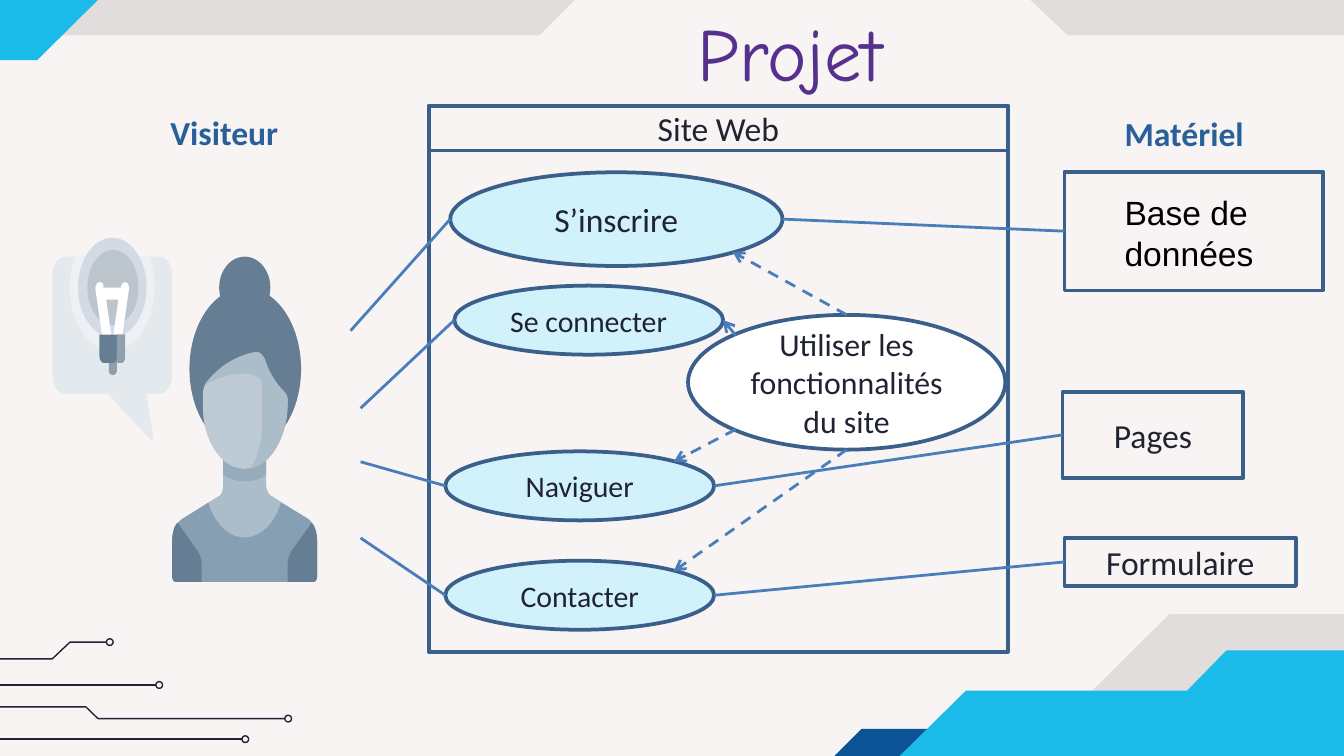
from lxml import etree
from pptx import Presentation
from pptx import util as u
from pptx.dml.color import RGBColor
from pptx.enum import dml, shapes as sh, text as tx
from pptx.oxml.ns import qn

COLORS = {
    "paper": "F8F4F4", "black": "000000", "white": "FFFFFF", "ink": "202331",
    "cyan": "1BBBE9", "navy": "0B5394", "border": "3A5F8B", "link": "4A7EBB",
    "case": "D1F1FB", "heading": "2A6099", "purple": "55308D",
    "hair": "657E93", "skin": "ACBDCA", "shirt": "869FB2", "neck": "96ABBC",
    "face": "BECBD5", "bubble": "E3E9ED", "halo": "EDF1F3", "tip": "909FAD",
    "glass": "D2DBE3", "glow": "BCC4CC",
}
GREY_OPACITY = 9
TITLE = "Projet"

# Decoration: fill, opacity, corners
BANDS = [
    ("black", GREY_OPACITY, [(626.4, 329), (720, 329), (720, 405), (550, 405)]),
    ("black", GREY_OPACITY, [(0, 0), (308, 0), (289, 19), (0, 19)]),
    ("black", GREY_OPACITY, [(552, 0), (720, 0), (720, 19), (572, 19)]),
    ("navy", 100, [(447, 405), (461.5, 390.5), (526, 390.5), (512, 405)]),
    ("cyan", 100, [(482, 405), (517.5, 370), (636, 370), (657, 348.5),
                   (720, 348.5), (720, 405)]),
    ("cyan", 100, [(0, 0), (52.5, 0), (20, 32.2), (0, 32.2)]),
]
CIRCUITS = [
    [(0, 367), (83.5, 367)],
    [(0, 353), (28, 353), (37.5, 344), (57, 344)],
    [(0, 378.7), (46, 378.7), (52.5, 385), (152.6, 385)],
    [(0, 396), (129.6, 396)],
]
NODE = 3.6

# Diagram: kind, left, top, width, height, fill, label, size
RECT, OVAL = sh.MSO_SHAPE.RECTANGLE, sh.MSO_SHAPE.OVAL
NODES = {
    "frame": (RECT, 229.7, 56.9, 310.3, 292.3, "paper", "", 0),
    "site": (RECT, 229.7, 56.9, 310.3, 23.8, "paper", "Site Web", 18),
    "use": (OVAL, 368.6, 168.7, 170, 72.2, "white",
            "Utiliser les fonctionnalités du site", 17),
    "database": (RECT, 570.3, 92, 138.4, 63.7, None, "", 0),
    "pages": (RECT, 569.2, 210, 96.8, 46, None, "Pages", 18),
    "form": (RECT, 570.3, 288.2, 124, 25.7, None, "Formulaire", 18),
    "register": (OVAL, 241.2, 92.3, 178, 50.2, "case", "S’inscrire", 18),
    "login": (OVAL, 243.4, 153, 144, 37, "case", "Se connecter", 16),
    "browse": (OVAL, 238.6, 241.8, 144, 37, "case", "Naviguer", 16),
    "contact": (OVAL, 238.6, 300.4, 144, 37, "case", "Contacter", 16),
}
NEAR, FAR = 0.15, 0.85  # diagonal points of an ellipse, as shares of its box
SITES = {"left": (0, .5), "right": (1, .5), "top": (.5, 0), "bottom": (.5, 1),
         "top left": (NEAR, NEAR), "top right": (FAR, NEAR),
         "bottom left": (NEAR, FAR), "bottom right": (FAR, FAR)}
VISITOR_LINKS = [((187.8, 177.2), "register"), ((193.2, 218.7), "login"),
                 ((193.2, 247.4), "browse"), ((193.2, 288.2), "contact")]
MATERIAL_LINKS = [("database", "register"), ("pages", "browse"), ("form", "contact")]
USE_LINKS = [("top", "register", "bottom right"), ("top left", "login", "right"),
             ("bottom left", "browse", "top right"), ("bottom", "contact", "top right")]

# Free labels: text, box, size, font, colour, bold, wrap
LABELS = [
    ("Visiteur", (84.2, 56.2, 72, 29), 18, "Calibri", "heading", True, False),
    ("Matériel", (595.4, 56.9, 85, 29), 18, "Calibri", "heading", True, True),
    ("Base de données", (595.4, 99.4, 141.8, 47.5), 18, "Arial", "black", False, True),
]

# Visitor outlines: pairs are corners, sextets are Bezier curves
SHOULDERS = [(167.8, 280, 169.9, 285.1, 169.9, 290.2), (169.9, 308.2),
             (169.9, 310.3, 169.2, 311.8, 167.8, 311.8), (94.6, 311.8),
             (93.1, 311.8, 92.2, 310.3, 92.2, 308.2), (92.2, 290.2),
             (92.2, 285.1, 94.3, 280, 97.9, 277.9)]
SLEEVE = [(167, 280), (169.2, 282.2, 169.9, 286.6, 169.9, 290.2), (169.9, 308.2),
          (169.9, 310.3, 169.2, 311.8, 167.8, 311.8), (154.1, 311.8), (154.1, 302.4),
          (154.1, 300.2, 154.8, 297.4, 156.2, 295.2)]
OTHER_SLEEVE = [tuple(262.1 - v if i % 2 == 0 else v for i, v in enumerate(step))
                for step in SLEEVE]
CHEEK = [(137.5, 188.6), (139, 188.6, 140.4, 190.1, 141.8, 192.2),
         (144, 199.4, 147.6, 205.2, 151.9, 209.5),
         (153.4, 211, 154.1, 212.4, 154.1, 214.6), (154.1, 216.7)]
FRINGE = [(114.5, 200.2, 122.4, 191.5, 136.8, 188.6)]
SOCKET_EDGE = [(67, 179.3), (67, 190.8), (67, 193, 66.2, 194.4, 64.8, 194.4)]
BODY = [
    ("skin", [(142.6, 244.8), (142.6, 259.9), (142.6, 262.1, 144, 265, 145.4, 265.7),
              (164.9, 277.9), *SHOULDERS, (117.4, 265.7),
              (118.8, 265, 119.5, 262.1, 119.5, 259.9), (119.5, 244.8)]),
    ("shirt", [(150.5, 269.3), (164.9, 277.9), *SHOULDERS, (111.6, 269.3),
               (115.2, 281.5, 123.1, 288, 131, 288),
               (139, 288, 146.9, 281.5, 150.5, 269.3)]),
    ("neck", [(142.6, 244.8), (142.6, 254.2), (139, 257, 135.4, 257.8, 131, 257.8),
              (127.4, 257.8, 123.1, 257, 119.5, 254.2), (119.5, 244.8)]),
    ("face", CHEEK + [(154.1, 234.7, 144.7, 249.8, 131, 251.3),
                      (118.8, 251.3, 108.7, 236.2, 108.7, 218.2), (108.7, 211.7),
                      (108.7, 208.8, 109.4, 206.6, 110.9, 204.5)] + FRINGE),
    ("skin", CHEEK + [(154.1, 234, 145.4, 249.1, 133.9, 251.3),
                      (138.2, 244.8, 140.4, 236.9, 140.4, 228.2), (140.4, 206.6),
                      (140.4, 203, 138.2, 200.9, 131.8, 200.2),
                      (123.8, 200.2, 115.9, 202.3, 109.4, 206.6),
                      (110.9, 204.5)] + FRINGE),
    ("hair", SLEEVE), ("hair", OTHER_SLEEVE),
    ("bubble", [(85.7, 137.5), (89.3, 137.5, 92.2, 141.8, 92.2, 147.6), (92.2, 200.9),
                (92.2, 206.6, 89.3, 211, 85.7, 211), (78.5, 211), (82.1, 233.3),
                (82.1, 234.7, 82.1, 235.4, 80.6, 235.4), (57.6, 211), (35.3, 211),
                (31, 211, 28.1, 206.6, 28.1, 200.9), (28.1, 147.6),
                (28.1, 141.8, 31, 137.5, 35.3, 137.5)]),
    ("halo", [(79.9, 137.5), (82.1, 142.6, 82.8, 148.3, 82.8, 154.1),
              (82.8, 172.8, 72.7, 187.2, 60.5, 187.2),
              (58.3, 187.2, 56.2, 187.2, 54, 186.5),
              (39.6, 180.7, 33.1, 156.2, 40.3, 137.5)]),
]
BULB = [
    ("white", [(53.3, 151.2), (54.7, 151.2, 55.4, 151.9, 55.4, 153.4), (55.4, 154.1),
               (64.8, 154.1), (64.8, 153.4), (65.5, 151.9, 66.2, 151.2, 67, 151.2),
               (68.4, 151.2, 69.1, 152.6, 69.1, 154.8), (65.5, 180),
               (64.1, 180.7, 62.6, 180.7, 60.5, 180.7), (63.4, 160.6), (56.9, 160.6),
               (59.8, 180.7), (58.3, 180.7, 56.2, 180.7, 54.7, 180), (51.1, 154.8),
               (51.1, 153.4, 51.8, 151.2, 53.3, 151.2)]),
    ("hair", SOCKET_EDGE + [(55.4, 194.4), (54.7, 194.4, 53.3, 193, 53.3, 190.8),
                            (53.3, 179.3)]),
    ("tip", SOCKET_EDGE + [(60.5, 194.4), (61.9, 194.4, 62.6, 193, 62.6, 190.8),
                           (62.6, 179.3)]),
]
HEAD = [("hair", (117.4, 137.5, 27.4, 33.1)), ("hair", (101.5, 154.1, 59.8, 87.1))]
GLASS = [("glass", (41.8, 127.4, 36.7, 53.3)), ("glow", (46.8, 133.9, 27.4, 40.3))]

prs = Presentation()
prs.slide_width, prs.slide_height = u.Pt(720), u.Pt(405)
slide = prs.slides.add_slide(prs.slide_layouts[5])


def rgb(name):
    return RGBColor.from_string(COLORS[name])


def style(shape, fill=None, line=None, width=0, opacity=100):
    shape.shadow.inherit = False
    if fill:
        shape.fill.solid()
        shape.fill.fore_color.rgb = rgb(fill)
        if opacity < 100:
            color = shape.fill._xPr.find(qn("a:solidFill"))[0]
            etree.SubElement(color, qn("a:alpha")).set("val", str(opacity * 1000))
    else:
        shape.fill.background()
    if line:
        shape.line.color.rgb = rgb(line)
        shape.line.width = u.Pt(width)
    else:
        shape.line.fill.background()


def preset(kind, box, *look):
    shape = slide.shapes.add_shape(kind, *map(u.Pt, box))
    style(shape, *look)
    return shape


def flatten(outline, steps=10):
    points = [outline[0]]
    for step in outline[1:]:
        if len(step) == 2:
            points.append(step)
            continue
        curve = [points[-1], step[:2], step[2:4], step[4:]]
        for t in (i / steps for i in range(1, steps + 1)):
            weights = ((1 - t) ** 3, 3 * t * (1 - t) ** 2, 3 * t * t * (1 - t), t ** 3)
            points.append(tuple(sum(w * p[axis] for w, p in zip(weights, curve))
                                for axis in (0, 1)))
    return points


def outline_shape(outline, *look, close=True):
    points = [(u.Pt(x), u.Pt(y)) for x, y in flatten(outline)]
    builder = slide.shapes.build_freeform(*points[0])
    builder.add_line_segments(points[1:], close=close)
    style(builder.convert_to_shape(), *look)


def write(frame, words, size, font, color, bold=False, align=tx.PP_ALIGN.LEFT):
    paragraph = frame.paragraphs[0]
    paragraph.alignment = align
    run = paragraph.add_run()
    run.text = words
    run.font.size, run.font.name, run.font.bold = u.Pt(size), font, bold
    run.font.color.rgb = rgb(color)


def connect(start, end, color="link", width=1.5, arrow=False):
    link = slide.shapes.add_connector(sh.MSO_CONNECTOR.STRAIGHT, *map(u.Pt, start + end))
    link.line.color.rgb = rgb(color)
    link.line.width = u.Pt(width)
    if arrow:
        link.line.dash_style = dml.MSO_LINE.DASH
        etree.SubElement(link.line._get_or_add_ln(), qn("a:tailEnd")).set("type", "arrow")
    etree.SubElement(link._element.spPr, qn("a:effectLst"))


def site(node, side):
    left, top, width, height = NODES[node][1:5]
    across, down = SITES[side]
    return left + across * width, top + down * height


# Background, corner bands and circuit lines
slide.background.fill.solid()
slide.background.fill.fore_color.rgb = rgb("paper")
for fill, opacity, corners in BANDS:
    outline_shape(corners, fill, None, 0, opacity)
for route in CIRCUITS:
    if len(route) == 2:
        connect(*route, "ink", 0.75)
    else:
        outline_shape(route, None, "ink", 0.75, close=False)
    x, y = route[-1]
    preset(OVAL, (x, y - NODE / 2, NODE, NODE), None, "ink", 0.75)

# Title
title = slide.shapes.title
title.left, title.top, title.width, title.height = map(u.Pt, (366.5, 0, 129.6, 72))
title.text_frame.auto_size = tx.MSO_AUTO_SIZE.NONE
title.text_frame.vertical_anchor = tx.MSO_ANCHOR.TOP
write(title.text_frame, TITLE, 40, "Comic Neue", "purple")

# Use cases and materials
for kind, *box, fill, label, size in NODES.values():
    node = preset(kind, box, fill, "border", 2)
    if label:
        node.text_frame.word_wrap = True
        node.text_frame.vertical_anchor = tx.MSO_ANCHOR.MIDDLE
        write(node.text_frame, label, size, "Calibri", "ink", align=tx.PP_ALIGN.CENTER)

# Links
for start, case in VISITOR_LINKS:
    connect(start, site(case, "left"))
for material, case in MATERIAL_LINKS:
    connect(site(material, "left"), site(case, "right"))
for side, case, target in USE_LINKS:
    connect(site("use", side), site(case, target), arrow=True)

# Labels
for words, box, size, font, color, bold, wrap in LABELS:
    label = slide.shapes.add_textbox(*map(u.Pt, box))
    label.text_frame.word_wrap = wrap
    write(label.text_frame, words, size, font, color, bold)

# Visitor with idea bubble
for fill, box in HEAD:
    preset(OVAL, box, fill)
for fill, outline in BODY:
    outline_shape(outline, fill)
tip = preset(sh.MSO_SHAPE.ROUNDED_RECTANGLE, (58.3, 187.9, 4.3, 13), "tip")
tip.adjustments[0] = 0.5
for fill, box in GLASS:
    preset(OVAL, box, fill)
for fill, outline in BULB:
    outline_shape(outline, fill)

prs.save("out.pptx")
